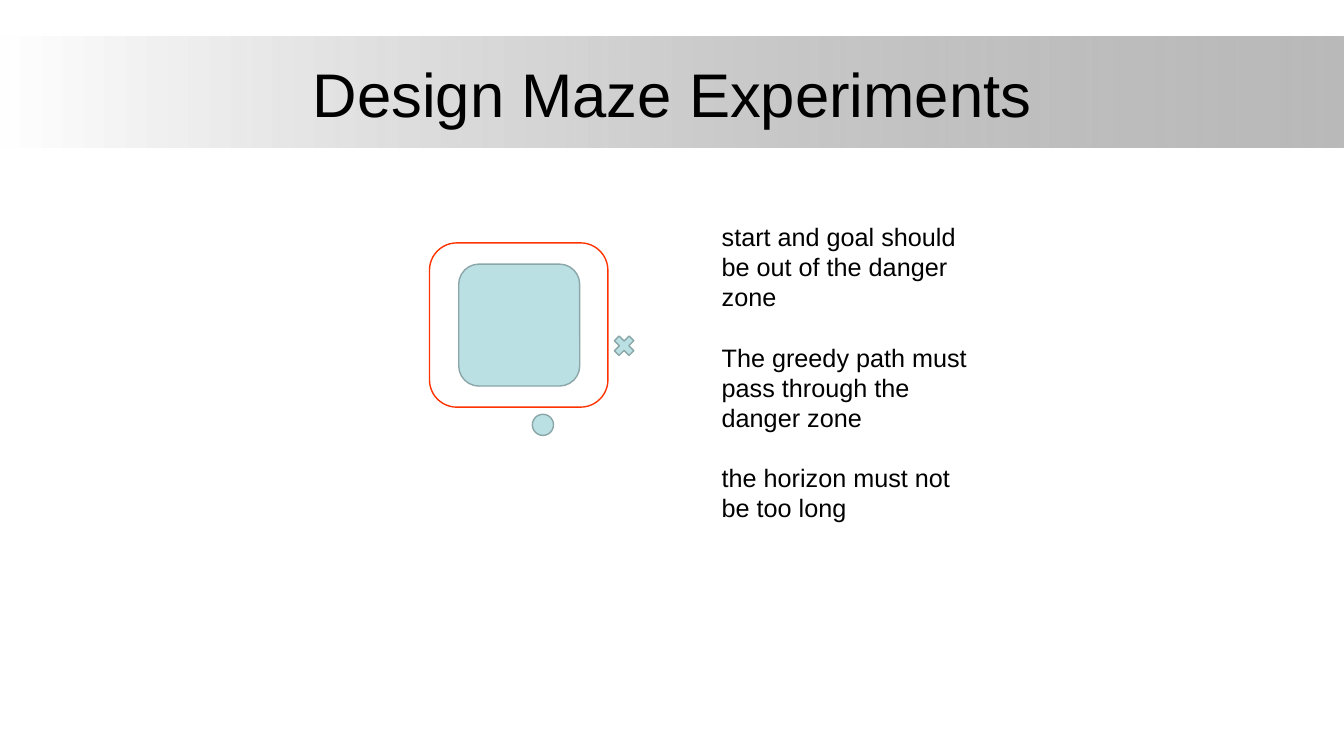
from dataclasses import dataclass
from typing import Optional

from lxml import etree
from pptx import Presentation
from pptx.dml.color import RGBColor
from pptx.enum import shapes, text
from pptx.oxml import ns
from pptx.util import Inches, Pt

Kind = shapes.MSO_SHAPE


@dataclass(frozen=True)
class Theme:
    font: str = "Arial"
    title_size: int = 44
    body_size: int = 18
    line_pitch: float = 21.5
    ink: str = "000000"
    band_start: str = "FFFFFF"
    band_end: str = "808080"
    band_end_alpha: int = 54
    maze_fill: str = "BBE0E3"
    maze_line: str = "8AA6A8"
    danger_line: str = "FF3300"


THEME = Theme()


@dataclass(frozen=True)
class MazePart:
    kind: Kind
    left: float
    top: float
    width: float
    height: float
    line: str = THEME.maze_line
    fill: Optional[str] = THEME.maze_fill


MAZE = [
    MazePart(Kind.ROUNDED_RECTANGLE, 4.55, 2.62, 1.2, 1.21),  # obstacle
    MazePart(Kind.ROUNDED_RECTANGLE, 4.26, 2.41, 1.77, 1.63,
             line=THEME.danger_line, fill=None),  # danger zone
    MazePart(Kind.OVAL, 5.28, 4.11, 0.21, 0.21),  # start
    MazePart(Kind.MATH_MULTIPLY, 6.05, 3.29, 0.28, 0.28),  # goal
]

RULES = [
    "start and goal should be out of the danger zone",
    "The greedy path must pass through the danger zone",
    "the horizon must not be too long",
]


def rgb(code: str) -> RGBColor:
    return RGBColor.from_string(code)


def style_paragraph(paragraph, size: int) -> None:
    paragraph.font.name = THEME.font
    paragraph.font.size = Pt(size)
    paragraph.font.color.rgb = rgb(THEME.ink)


def add_title(slide, wording: str) -> None:
    title = slide.shapes.title
    title.left, title.top = Inches(0.67), Inches(0.3)
    title.width, title.height = Inches(12), Inches(1.25)
    title.text_frame.text = wording
    title.text_frame.vertical_anchor = text.MSO_ANCHOR.MIDDLE
    heading = title.text_frame.paragraphs[0]
    heading.alignment = text.PP_ALIGN.CENTER
    style_paragraph(heading, THEME.title_size)


def add_title_band(slide, width: int) -> None:
    """Draw the fading band and place it behind the title."""
    band = slide.shapes.add_shape(
        Kind.RECTANGLE, 0, Inches(0.36), width, Inches(1.1))
    band.shadow.inherit = False
    band.line.fill.background()
    band.fill.gradient()
    band.fill.gradient_angle = 0
    for stop, code in zip(band.fill.gradient_stops,
                          (THEME.band_start, THEME.band_end)):
        stop.color.rgb = rgb(code)
    end_color = band.element.findall(".//" + ns.qn("a:srgbClr"))[-1]
    etree.SubElement(end_color, ns.qn("a:alpha"),
                     val=str(THEME.band_end_alpha * 1000))
    slide.shapes.title.element.addprevious(band.element)


def add_maze_part(slide, part: MazePart) -> None:
    shape = slide.shapes.add_shape(
        part.kind, Inches(part.left), Inches(part.top),
        Inches(part.width), Inches(part.height))
    shape.shadow.inherit = False
    shape.line.color.rgb = rgb(part.line)
    shape.line.width = Pt(1)
    if part.fill:
        shape.fill.solid()
        shape.fill.fore_color.rgb = rgb(part.fill)
    else:
        shape.fill.background()


def add_rules(slide, rules: list[str]) -> None:
    frame = slide.shapes.add_textbox(
        Inches(7.06), Inches(2.15), Inches(2.76), Inches(3.13)).text_frame
    frame.word_wrap = True
    frame.auto_size = text.MSO_AUTO_SIZE.SHAPE_TO_FIT_TEXT
    frame.text = "\n".join(rules)
    for index, paragraph in enumerate(frame.paragraphs):
        paragraph.line_spacing = Pt(THEME.line_pitch)
        if index:
            paragraph.space_before = Pt(THEME.line_pitch)
        style_paragraph(paragraph, THEME.body_size)


def main() -> None:
    deck = Presentation()
    deck.slide_width, deck.slide_height = Inches(13.33), Inches(7.5)
    slide = deck.slides.add_slide(deck.slide_layouts.get_by_name("Title Only"))
    add_title(slide, "Design Maze Experiments")
    add_title_band(slide, deck.slide_width)
    for part in MAZE:
        add_maze_part(slide, part)
    add_rules(slide, RULES)
    deck.save("out.pptx")


if __name__ == "__main__":
    main()
